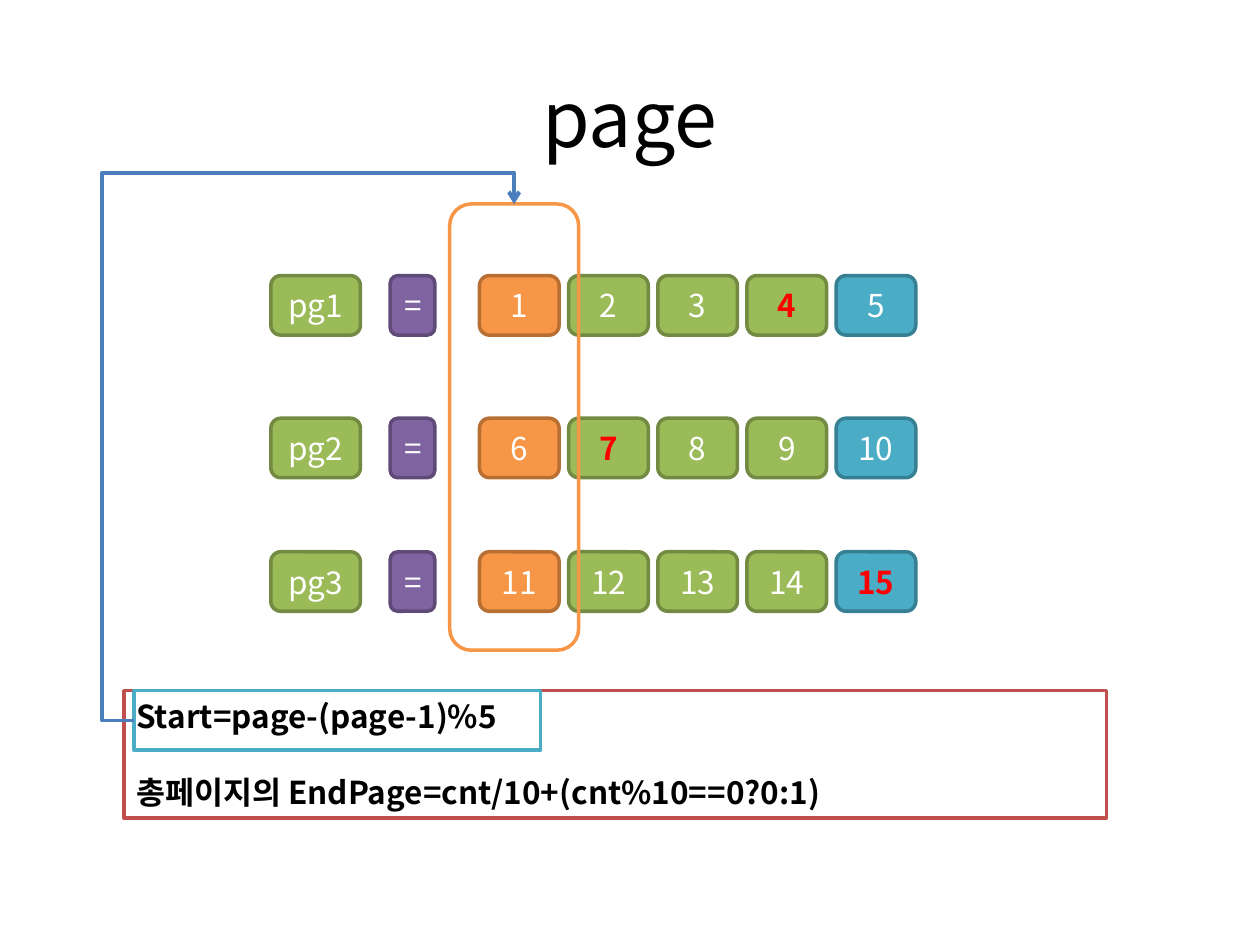
"""Build a slide on how page numbers fall into groups of five."""
from lxml.etree import SubElement
from pptx import Presentation
from pptx.dml.color import RGBColor as Rgb
from pptx.enum.shapes import MSO_CONNECTOR as Link, MSO_SHAPE as Kind
from pptx.enum.text import MSO_ANCHOR as Anchor, PP_ALIGN as Align
from pptx.oxml.ns import qn
from pptx.util import Pt

HUES = {
    "green": "9BBB59", "moss": "738A42",
    "purple": "8064A2", "plum": "5F4A78",
    "orange": "F79646", "rust": "B76F34",
    "teal": "4BACC6", "sea": "377F92",
    "red": "C0504D", "blue": "4B7EBC",
    "hot": "FF0000", "white": "FFFFFF", "black": "000000",
}
EDGES = {"green": "moss", "purple": "plum", "orange": "rust", "teal": "sea"}

deck = Presentation()
deck.slide_width, deck.slide_height = Pt(720), Pt(540)
slide = deck.slides.add_slide(deck.slide_layouts[6])
shapes = slide.shapes


def write(frame, lines, size, hue, bold=False, align=Align.CENTER, gap=0):
    frame.word_wrap = True
    for row, line in enumerate(lines):
        para = frame.add_paragraph() if row else frame.paragraphs[0]
        para.alignment = align
        para.space_before = Pt(gap if row else 0)
        run = para.add_run()
        run.text = line
        look = {"name": "Noto Sans CJK KR", "size": Pt(size), "bold": bold}
        for key, val in look.items():
            setattr(run.font, key, val)
        run.font.color.rgb = Rgb.from_string(HUES[hue])
        east = SubElement(run.font._element, qn("a:ea"))
        east.set("typeface", look["name"])


def draw(kind, spot, fill, edge):
    box = shapes.add_shape(kind, *map(Pt, spot))
    box.shadow.inherit = False
    if fill:
        box.fill.solid()
        box.fill.fore_color.rgb = Rgb.from_string(HUES[fill])
    else:
        box.fill.background()
    box.line.color.rgb = Rgb.from_string(HUES[edge])
    box.line.width = Pt(2)
    return box


title = shapes.add_textbox(Pt(36), Pt(21.6), Pt(648), Pt(90)).text_frame
title.vertical_anchor = Anchor.MIDDLE
write(title, ["page"], 44, "black")

SIZE, STEP, LEFT = 5, 50.95, 274
TINTS = ["orange", "green", "green", "green", "teal"]
MARKED = {4, 7, 15}
for row, top in enumerate([157.5, 239, 315.3]):
    cells = [(154.8, 51.2, "green", f"pg{row + 1}", False),
             (223, 25.5, "purple", "=", False)]
    for col, tint in enumerate(TINTS):
        num = row * SIZE + col + 1
        cells.append((LEFT + col * STEP, 45.5, tint, str(num), num in MARKED))
    for left, wide, tint, text, mark in cells:
        cell = draw(Kind.ROUNDED_RECTANGLE, (left, top, wide, 34), tint, EDGES[tint])
        cell.text_frame.vertical_anchor = Anchor.MIDDLE
        write(cell.text_frame, [text], 18, "hot" if mark else "white", mark)

rules = draw(Kind.RECTANGLE, (70.8, 394.7, 561.6, 72.7), "white", "red").text_frame
rules.vertical_anchor = Anchor.TOP
write(rules, ["Start=page-(page-1)%5", "총페이지의 EndPage=cnt/10+(cnt%10==0?0:1)"],
      18, "black", True, Align.LEFT, 21.6)

draw(Kind.ROUNDED_RECTANGLE, (257, 116.6, 73.7, 255), None, "orange")
draw(Kind.RECTANGLE, (76.5, 394.7, 232.5, 34), None, "teal")

arrow = shapes.add_connector(Link.ELBOW, Pt(293.8), Pt(116.6), Pt(76.5), Pt(411.7))
arrow.line.color.rgb = Rgb.from_string(HUES["blue"])
arrow.line.width = Pt(2.25)
props = arrow._element.spPr
props.find(qn("a:xfrm")).set("rot", "10800000")
bend = props.find(qn("a:prstGeom"))
bend.set("prst", "bentConnector4")
guides = bend.find(qn("a:avLst"))
for name, val in {"adj1": -8300, "adj2": 106100}.items():
    guide = SubElement(guides, qn("a:gd"))
    guide.set("name", name)
    guide.set("fmla", f"val {val}")
SubElement(props.find(qn("a:ln")), qn("a:tailEnd")).set("type", "arrow")
SubElement(props, qn("a:effectLst"))

deck.save("out.pptx")
